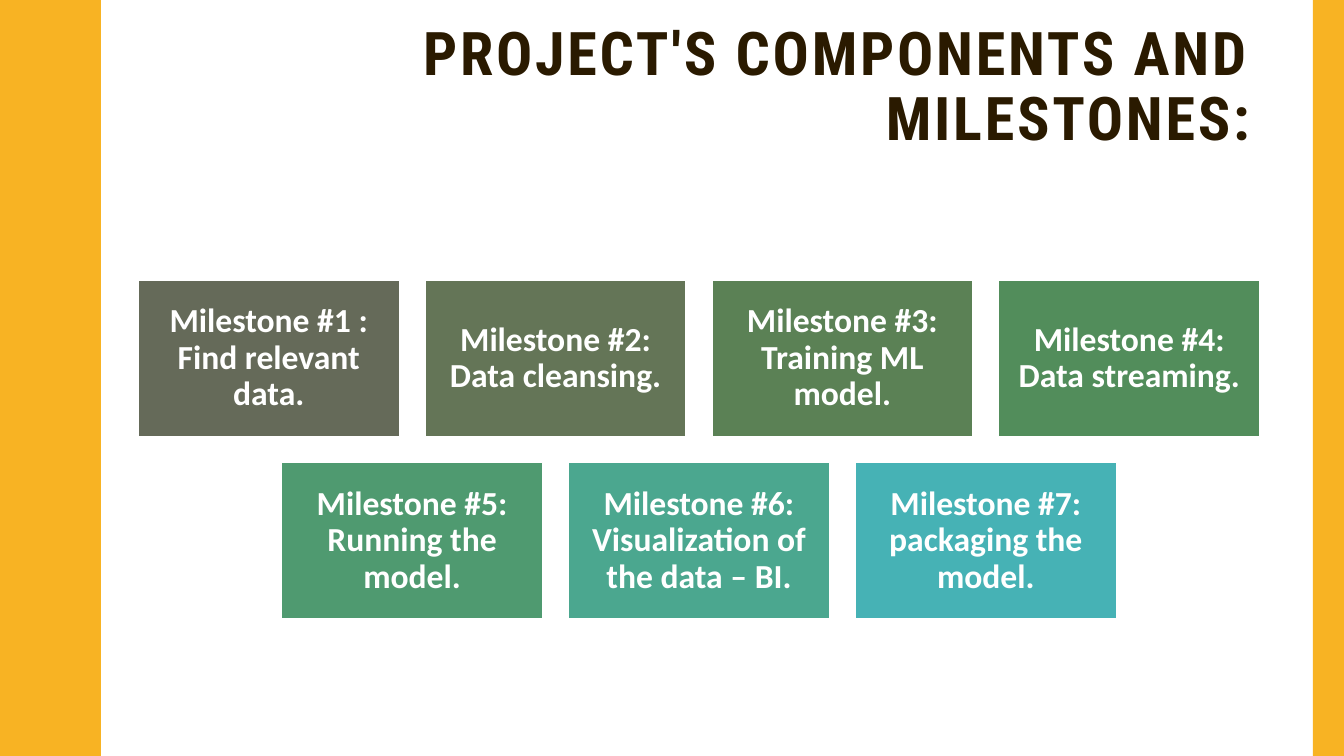
"""Build the slide of project milestones."""
import pptx
import pptx.dml.color
import pptx.enum.shapes
import pptx.enum.text
import pptx.util

WIDE, HIGH = 13.33, 7.5
LEFT, TOP = 1.37, 2.78
COL, ROW = 2.845, 1.81
GOLD, DARK, WHITE = "F8B323", "2A1A00", "FFFFFF"
STEPS = [
    (0, 0.78), (0.07, 0.78), (0.14, 0.79), (0.2, 0.8), (0.25, 0.81),
    (0.29, 0.83), (0.33, 0.85), (0.38, 0.87), (0.42, 0.89), (0.46, 0.91),
    (0.5, 0.93), (0.55, 0.95), (0.61, 0.96), (0.68, 0.97),
]
GOALS = [
    [
        ("Milestone #1 : Find relevant data.", "656A59"),
        ("Milestone #2: Data cleansing.", "647557"),
        ("Milestone #3: Training ML model.", "5B8155"),
        ("Milestone #4: Data streaming.", "528D5B"),
    ],
    [
        ("Milestone #5: Running the model.", "4F9A70"),
        ("Milestone #6: Visualization of the data – BI.", "4BA78F"),
        ("Milestone #7: packaging the model.", "46B2B5"),
    ],
]
ALIGN = pptx.enum.text.PP_ALIGN
ANCHOR = pptx.enum.text.MSO_ANCHOR
inch = pptx.util.Inches


def paint(fill, color):
    """Fill with one solid colour given as a hex string."""
    fill.solid()
    fill.fore_color.rgb = pptx.dml.color.RGBColor.from_string(color)


def write(shape, text, font="Calibri", size=24, color=WHITE, align=ALIGN.CENTER,
          anchor=ANCHOR.MIDDLE, pad=0.1, foot=0.1, space=0):
    """Put bold text into a shape."""
    frame = shape.text_frame
    frame.word_wrap = True
    frame.auto_size = pptx.enum.text.MSO_AUTO_SIZE.NONE
    frame.vertical_anchor = anchor
    frame.margin_left = frame.margin_right = inch(pad)
    frame.margin_top, frame.margin_bottom = inch(pad), inch(foot)
    para = frame.paragraphs[0]
    para.alignment, para.line_spacing = align, 0.9
    run = para.add_run()
    run.text = text
    run.font.name, run.font.size, run.font.bold = font, pptx.util.Pt(size), True
    paint(run.font.fill, color)
    run._r.get_or_add_rPr().set("spc", str(space * 100))


def block(slide, left, top, width, height, color):
    """Add a plain rectangle."""
    shape = slide.shapes.add_shape(
        pptx.enum.shapes.MSO_SHAPE.RECTANGLE,
        inch(left), inch(top), inch(width), inch(height))
    shape.shadow.inherit = False
    paint(shape.fill, color)
    shape.line.fill.background()
    return shape


def wave(slide):
    """Add the side band with its wavy edge."""
    turn = [(y + 0.75, 1.75 - x) for y, x in STEPS]
    edge = [(x, y + 1.5 * lap) for lap in range(5) for y, x in STEPS + turn]
    form = slide.shapes.build_freeform(0, 0, scale=inch(1))
    form.add_line_segments(edge + [(0.78, HIGH), (0, HIGH)])
    shape = form.convert_to_shape()
    shape.shadow.inherit = False
    paint(shape.fill, GOLD)
    shape.line.fill.background()


def head(slide, text):
    """Place and format the title."""
    title = slide.shapes.title
    title.left, title.top = inch(LEFT), inch(0.42)
    title.width, title.height = inch(11.13), inch(1.63)
    write(title, text, font="Roboto Condensed", size=43, color=DARK,
          align=ALIGN.RIGHT, anchor=ANCHOR.BOTTOM, foot=0.53, space=2)


def card(slide, col, row, text, color):
    """Add one milestone at a grid place."""
    shape = block(slide, LEFT + col * COL, TOP + row * ROW, 2.59, 1.55, color)
    paint(shape.line.fill, WHITE)
    shape.line.width = pptx.util.Pt(1)
    write(shape, text)


def main():
    """Build and save the slide."""
    deck = pptx.Presentation()
    deck.slide_width, deck.slide_height = inch(WIDE), inch(HIGH)
    slide = deck.slides.add_slide(deck.slide_layouts[5])
    head(slide, "PROJECT'S COMPONENTS AND MILESTONES:")
    wave(slide)
    block(slide, 13.02, 0, 0.31, HIGH, GOLD)
    for row, goals in enumerate(GOALS):
        for col, (text, color) in enumerate(goals):
            card(slide, col + row / 2, row, text, color)
    deck.save("out.pptx")


if __name__ == "__main__":
    main()
